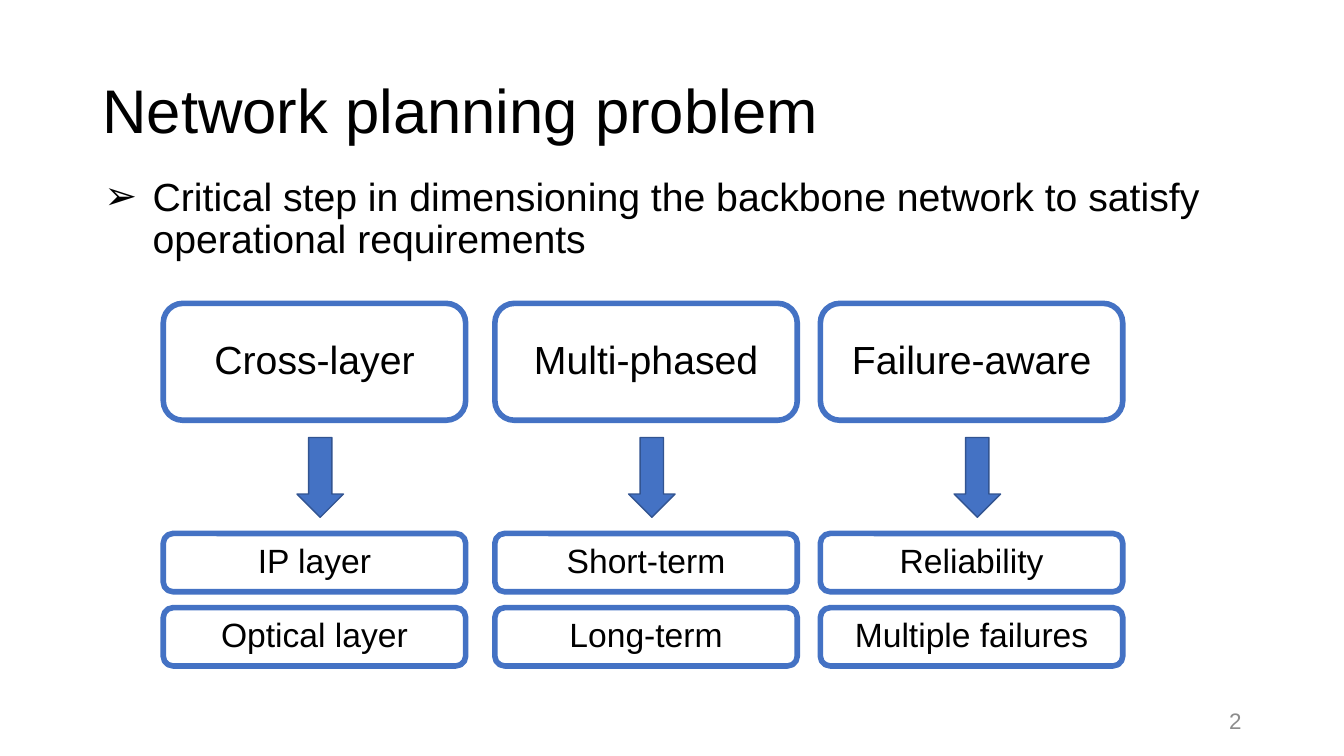
from lxml import etree
from pptx import Presentation
from pptx.dml.color import RGBColor
from pptx.enum.shapes import MSO_SHAPE
from pptx.enum.text import MSO_ANCHOR, MSO_AUTO_SIZE, PP_ALIGN
from pptx.oxml.ns import qn
from pptx.util import Pt

ROUNDED, DOWN_ARROW = MSO_SHAPE.ROUNDED_RECTANGLE, MSO_SHAPE.DOWN_ARROW
TOP, MIDDLE = MSO_ANCHOR.TOP, MSO_ANCHOR.MIDDLE
LEFT, CENTER, RIGHT = PP_ALIGN.LEFT, PP_ALIGN.CENTER, PP_ALIGN.RIGHT

TITLE = "Network planning problem"
STATEMENT = ("Critical step in dimensioning the backbone network "
             "to satisfy operational requirements")
PAGE_NUMBER = "2"
# Left edge, heading, details
COLUMNS = [
    (116.64, "Cross-layer", ["IP layer", "Optical layer"]),
    (353.5, "Multi-phased", ["Short-term", "Long-term"]),
    (586, "Failure-aware", ["Reliability", "Multiple failures"]),
]

FONT = "Arial"
BLACK, WHITE, GREY = "000000", "FFFFFF", "8C8C8C"
BLUE, DARK_BLUE = "4472C4", "325491"

BOX_WIDTH = 216
HEADING_TOP, HEADING_HEIGHT = 216.72, 83.5
ARROW_TOP, ARROW_WIDTH, ARROW_HEIGHT, ARROW_OFFSET = 312.5, 33.2, 57, 95.5
DETAIL_TOP, DETAIL_HEIGHT, DETAIL_STEP = 381.1, 41.6, 53


def color(value):
    return RGBColor.from_string(value)


def write(shape, text, size, align=LEFT, anchor=MIDDLE, text_color=BLACK,
          spacing=0.9, before=0):
    frame = shape.text_frame
    frame_format = {"word_wrap": True, "auto_size": MSO_AUTO_SIZE.NONE,
                    "vertical_anchor": anchor}
    paragraph = frame.paragraphs[0]
    paragraph_format = {"alignment": align, "line_spacing": spacing,
                        "space_before": Pt(before)}
    run = paragraph.add_run()
    run.text = text
    font_format = {"name": FONT, "size": Pt(size)}
    for target, values in ((frame, frame_format), (paragraph, paragraph_format),
                           (run.font, font_format)):
        for name, value in values.items():
            setattr(target, name, value)
    run.font.color.rgb = color(text_color)
    return paragraph


def add_block(slide, kind, area, fill, line, line_width):
    shape = slide.shapes.add_shape(kind, *map(Pt, area))
    shape.shadow.inherit = False
    shape.fill.solid()
    shape.fill.fore_color.rgb = color(fill)
    shape.line.color.rgb = color(line)
    shape.line.width = Pt(line_width)
    return shape


def add_box(slide, area, text, size):
    box = add_block(slide, ROUNDED, area, WHITE, BLUE, 4)
    write(box, text, size, CENTER, before=10)


def add_bullet(paragraph, symbol, margin, indent):
    properties = paragraph._p.get_or_add_pPr()
    properties.set("marL", str(Pt(margin)))
    properties.set("indent", str(Pt(indent)))
    bullet_font = etree.SubElement(properties, qn("a:buFont"))
    bullet_font.set("typeface", FONT)
    bullet = etree.SubElement(properties, qn("a:buChar"))
    bullet.set("char", symbol)


def add_column(slide, left, heading, details):
    add_box(slide, (left, HEADING_TOP, BOX_WIDTH, HEADING_HEIGHT), heading, 28)
    arrow_area = (left + ARROW_OFFSET, ARROW_TOP, ARROW_WIDTH, ARROW_HEIGHT)
    add_block(slide, DOWN_ARROW, arrow_area, BLUE, DARK_BLUE, 1)
    for row, detail in enumerate(details):
        top = DETAIL_TOP + row * DETAIL_STEP
        add_box(slide, (left, top, BOX_WIDTH, DETAIL_HEIGHT), detail, 24)


def main():
    presentation = Presentation()
    presentation.slide_width, presentation.slide_height = Pt(960), Pt(540)
    slide = presentation.slides.add_slide(presentation.slide_layouts[5])

    title = slide.shapes.title
    title_area = {"left": 66, "top": 28.8, "width": 828, "height": 104.4}
    for name, value in title_area.items():
        setattr(title, name, Pt(value))
    write(title, TITLE, 44)

    statement = slide.shapes.add_textbox(*map(Pt, (66, 123.1, 828, 87.1)))
    paragraph = write(statement, STATEMENT, 28, anchor=TOP, before=10)
    add_bullet(paragraph, "➢", 36, -34.5)

    for column in COLUMNS:
        add_column(slide, *column)

    number = slide.shapes.add_textbox(*map(Pt, (678, 500.5, 216, 28.8)))
    write(number, PAGE_NUMBER, 16, RIGHT, text_color=GREY, spacing=1.0)

    presentation.save("out.pptx")


if __name__ == "__main__":
    main()
